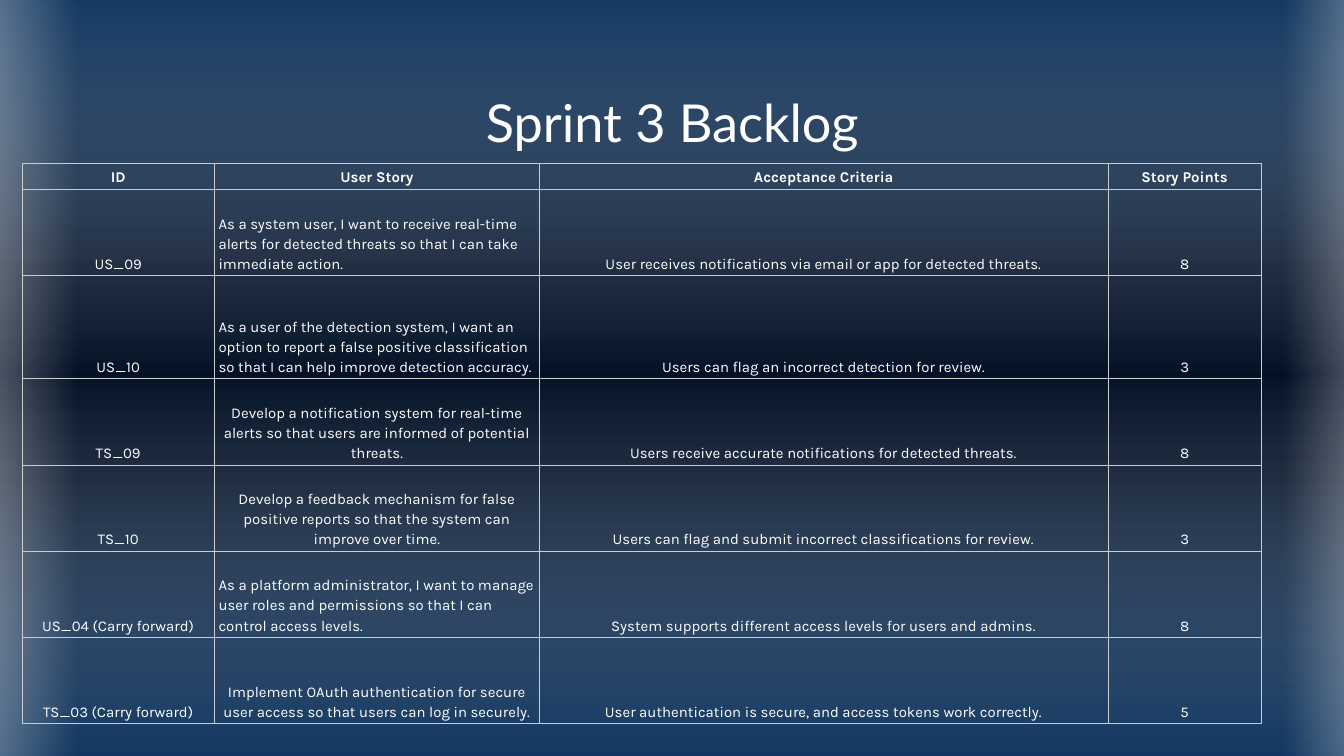
from lxml import etree
from pptx import Presentation
from pptx.dml.color import RGBColor
from pptx.enum.shapes import MSO_SHAPE
from pptx.enum.text import MSO_ANCHOR, MSO_AUTO_SIZE, PP_ALIGN
from pptx.oxml.ns import qn
from pptx.util import Cm, Pt

LEFT, CENTER = PP_ALIGN.LEFT, PP_ALIGN.CENTER
MIDDLE, BOTTOM = MSO_ANCHOR.MIDDLE, MSO_ANCHOR.BOTTOM
RECTANGLE = MSO_SHAPE.RECTANGLE

NAVY, MIDNIGHT, WHITE, GRID = "10355F", "031126", "FFFFFF", "CCCCCC"
TITLE_FONT, TABLE_FONT = "Lato", "Karla"

# Gradient stops: position %, colour, opacity %
BACKDROP = [(0, NAVY, 100), (37, MIDNIGHT, 100), (63, MIDNIGHT, 100), (100, NAVY, 100)]
HAZE = [(0, NAVY, 59), (50, WHITE, 0), (100, NAVY, 59)]
GLOW = [(0, WHITE, 47), (100, WHITE, 0)]

COLUMN_WIDTHS = [3.63, 6.15, 10.74, 2.9]
ROW_HEIGHTS = [0.49, 1.63, 1.95, 1.63, 1.63, 1.63, 1.63]
HEADER = ["ID", "User Story", "Acceptance Criteria", "Story Points"]
STORIES = [
    ["US_09",
     "As a system user, I want to receive real-time alerts for detected threats "
     "so that I can take immediate action.",
     "User receives notifications via email or app for detected threats.", "8"],
    ["US_10",
     "As a user of the detection system, I want an option to report a false positive "
     "classification so that I can help improve detection accuracy.",
     "Users can flag an incorrect detection for review.", "3"],
    ["TS_09",
     "Develop a notification system for real-time alerts so that users are informed "
     "of potential threats.",
     "Users receive accurate notifications for detected threats.", "8"],
    ["TS_10",
     "Develop a feedback mechanism for false positive reports so that the system can "
     "improve over time.",
     "Users can flag and submit incorrect classifications for review.", "3"],
    ["US_04 (Carry forward)",
     "As a platform administrator, I want to manage user roles and permissions "
     "so that I can control access levels.",
     "System supports different access levels for users and admins.", "8"],
    ["TS_03 (Carry forward)",
     "Implement OAuth authentication for secure user access so that users can log in "
     "securely.",
     "User authentication is secure, and access tokens work correctly.", "5"],
]


def rgb(color):
    return RGBColor.from_string(color)


def set_gradient(fill, owner, stops, angle):
    """Give a fill its own stops; owner is the XML element that holds the fill."""
    fill.gradient()
    fill.gradient_angle = angle
    stop_list = owner.find(".//" + qn("a:gsLst"))
    for old_stop in list(stop_list):
        stop_list.remove(old_stop)
    for position, color, opacity in stops:
        stop = etree.SubElement(stop_list, qn("a:gs"), pos=str(position * 1000))
        tint = etree.SubElement(stop, qn("a:srgbClr"), val=color)
        if opacity < 100:
            etree.SubElement(tint, qn("a:alpha"), val=str(opacity * 1000))


def add_veil(slide, left, top, width, height, stops, rotation=0):
    veil = slide.shapes.add_shape(RECTANGLE, Cm(left), Cm(top), Cm(width), Cm(height))
    veil.rotation = rotation
    veil.shadow.inherit = False
    veil.line.fill.background()
    set_gradient(veil.fill, veil._element, stops, 180)


def style_paragraph(paragraph, font_name, size, alignment, bold=False):
    paragraph.alignment = alignment
    font = paragraph.font
    font.name, font.size, font.bold = font_name, Pt(size), bold
    font.color.rgb = rgb(WHITE)


def place_title(slide, text):
    title = slide.shapes.title
    slide.shapes._spTree.append(title._element)  # in front of the veils
    title.left, title.top, title.width, title.height = Cm(2), Cm(1.5), Cm(21.41), Cm(1.6)
    frame = title.text_frame
    frame.text = text
    frame.auto_size = MSO_AUTO_SIZE.NONE
    frame.vertical_anchor = MIDDLE
    frame.margin_left = frame.margin_right = Cm(0.25)
    frame.margin_top = frame.margin_bottom = Cm(0.25)
    style_paragraph(frame.paragraphs[0], TITLE_FONT, 28, CENTER)


def set_borders(cell):
    properties = cell._tc.get_or_add_tcPr()
    for index, side in enumerate(("a:lnL", "a:lnR", "a:lnT", "a:lnB")):
        line = etree.Element(qn(side), w=str(Pt(0.42)))
        solid = etree.SubElement(line, qn("a:solidFill"))
        etree.SubElement(solid, qn("a:srgbClr"), val=GRID)
        properties.insert(index, line)


def fill_cell(cell, text, alignment, bold):
    cell.text = text
    cell.vertical_anchor = BOTTOM
    cell.margin_left = cell.margin_right = Cm(0.08)
    cell.margin_top = cell.margin_bottom = Cm(0.05)
    cell.fill.background()
    set_borders(cell)
    paragraph = cell.text_frame.paragraphs[0]
    paragraph.line_spacing = 1.15
    style_paragraph(paragraph, TABLE_FONT, 8, alignment, bold)


def add_backlog(slide):
    rows = [HEADER] + STORIES
    backlog = slide.shapes.add_table(
        len(rows), len(HEADER), Cm(0.42), Cm(3.09),
        Cm(sum(COLUMN_WIDTHS)), Cm(sum(ROW_HEIGHTS))).table
    backlog.first_row = backlog.horz_banding = False
    for column, width in zip(backlog.columns, COLUMN_WIDTHS):
        column.width = Cm(width)
    for row, height in zip(backlog.rows, ROW_HEIGHTS):
        row.height = Cm(height)
    for r, texts in enumerate(rows):
        for c, text in enumerate(texts):
            # Stories told by a user ("As a ...") are left-aligned
            alignment = LEFT if text.startswith("As a ") else CENTER
            fill_cell(backlog.cell(r, c), text, alignment, bold=r == 0)


def main():
    deck = Presentation()
    deck.slide_width, deck.slide_height = Cm(25.4), Cm(14.29)
    slide = deck.slides.add_slide(deck.slide_layouts[5])

    # Background with a haze and two glowing edges
    set_gradient(slide.background.fill, slide._element, BACKDROP, 90)
    add_veil(slide, 5.59, -5.92, 14.76, 25.93, HAZE, rotation=270)
    add_veil(slide, -1.04, -0.23, 2.49, 14.73, GLOW, rotation=180)
    add_veil(slide, 24.28, -0.33, 2.16, 14.73, GLOW)

    # Title and backlog table
    place_title(slide, "Sprint 3 Backlog")
    add_backlog(slide)
    deck.save("out.pptx")


if __name__ == "__main__":
    main()
